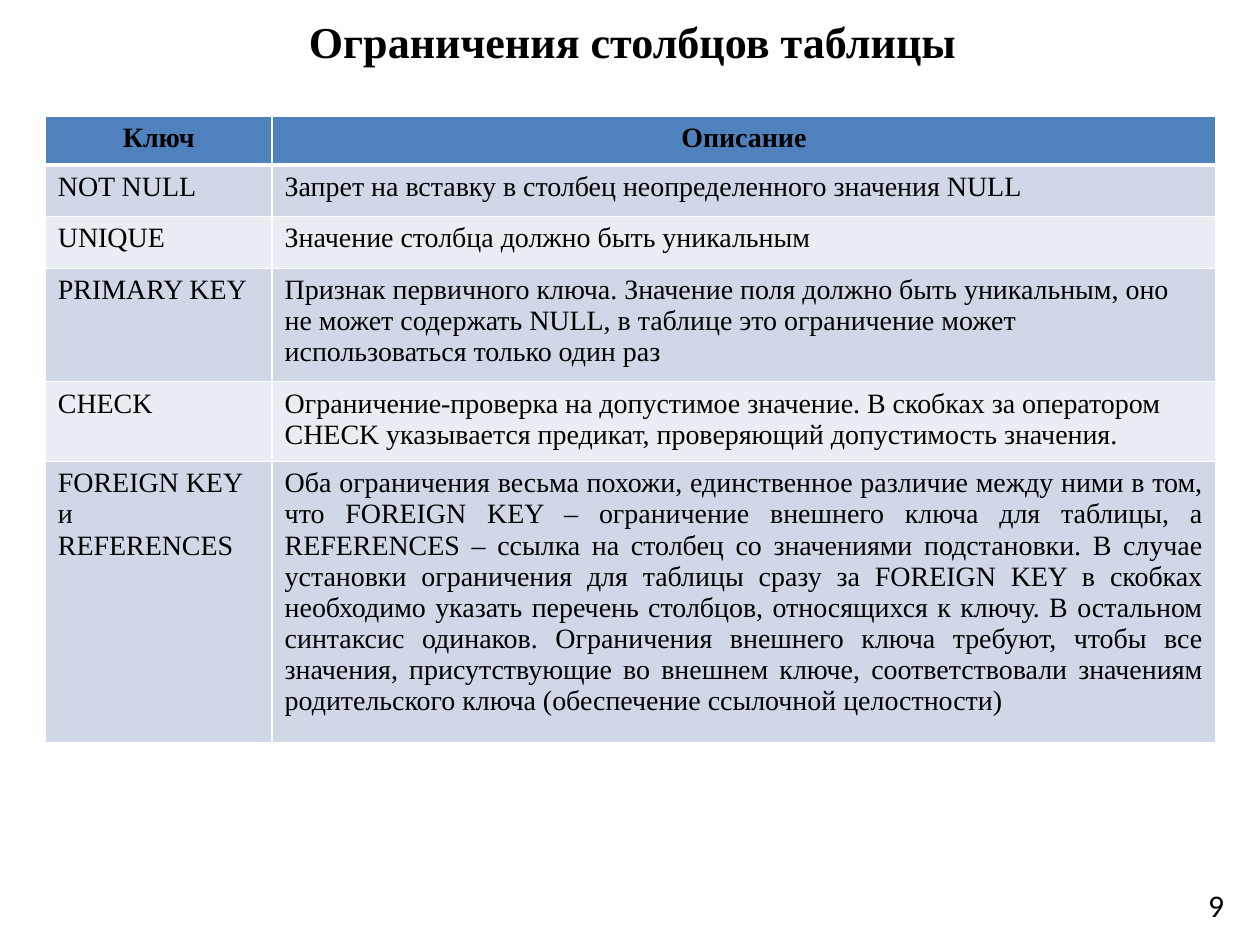
from lxml.etree import SubElement
from pptx import Presentation
from pptx.dml.color import RGBColor
from pptx.enum.text import MSO_ANCHOR, MSO_AUTO_SIZE, PP_ALIGN
from pptx.oxml.ns import qn
from pptx.util import Inches, Pt

BLACK = RGBColor(0x00, 0x00, 0x00)
WHITE = RGBColor(0xFF, 0xFF, 0xFF)
HEADER_BLUE = RGBColor(0x4F, 0x81, 0xBD)
DARK_BAND = RGBColor(0xD0, 0xD8, 0xE8)
LIGHT_BAND = RGBColor(0xE9, 0xED, 0xF4)

COLUMN_WIDTHS = [1.8, 7.49]
ROWS = [
    (0.39, ["Ключ"], "Описание"),
    (0.41, ["NOT NULL"], "Запрет на вставку в столбец неопределенного значения NULL"),
    (0.41, ["UNIQUE"], "Значение столбца должно быть уникальным"),
    (0.9, ["PRIMARY KEY"],
     "Признак первичного ключа. Значение поля должно быть уникальным, оно "
     "не может содержать NULL, в таблице это ограничение может "
     "использоваться только один раз"),
    (0.63, ["CHECK"],
     "Ограничение-проверка на допустимое значение. В скобках за оператором "
     "CHECK указывается предикат, проверяющий допустимость значения."),
    (2.23, ["FOREIGN KEY", "и", "REFERENCES"],
     "Оба ограничения весьма похожи, единственное различие между ними в том, "
     "что FOREIGN KEY – ограничение внешнего ключа для таблицы, а "
     "REFERENCES – ссылка на столбец со значениями подстановки. В случае "
     "установки ограничения для таблицы сразу за FOREIGN KEY в скобках "
     "необходимо указать перечень столбцов, относящихся к ключу. В остальном "
     "синтаксис одинаков. Ограничения внешнего ключа требуют, чтобы все "
     "значения, присутствующие во внешнем ключе, соответствовали значениям "
     "родительского ключа (обеспечение ссылочной целостности)"),
]


def add_text(paragraph, text, size, font="Times New Roman", bold=False):
    run = paragraph.add_run()
    run.text = text
    run.font.name = font
    run.font.size = Pt(size)
    run.font.bold = bold
    run.font.color.rgb = BLACK


def set_borders(cell, top, bottom):
    properties = cell._tc.get_or_add_tcPr()
    widths = {"a:lnL": 1, "a:lnR": 1, "a:lnT": top, "a:lnB": bottom}
    for position, (tag, width) in enumerate(widths.items()):
        line = SubElement(properties, qn(tag), w=str(Pt(width)))
        fill = SubElement(line, qn("a:solidFill"))
        SubElement(fill, qn("a:srgbClr"), val=str(WHITE))
        properties.insert(position, line)


presentation = Presentation()
presentation.slide_width = Inches(10)
presentation.slide_height = Inches(7.5)
slide = presentation.slides.add_slide(presentation.slide_layouts[5])

title = slide.shapes.title
title.left, title.top = Inches(0.22), Inches(0.05)
title.width, title.height = Inches(9.6), Inches(0.55)
title.text_frame.auto_size = MSO_AUTO_SIZE.NONE
title.text_frame.vertical_anchor = MSO_ANCHOR.MIDDLE
title_paragraph = title.text_frame.paragraphs[0]
title_paragraph.alignment = PP_ALIGN.CENTER
add_text(title_paragraph, "Ограничения столбцов таблицы", 25.2, bold=True)

page_number = slide.shapes.add_textbox(Inches(9.49), Inches(6.98), Inches(0.33), Inches(0.4))
page_number.text_frame.word_wrap = False
page_number.text_frame.auto_size = MSO_AUTO_SIZE.SHAPE_TO_FIT_TEXT
add_text(page_number.text_frame.paragraphs[0], "9", 18, font="Calibri")

table = slide.shapes.add_table(
    len(ROWS), len(COLUMN_WIDTHS), Inches(0.36), Inches(0.92), Inches(9.29), Inches(4.97)
).table
for column, width in zip(table.columns, COLUMN_WIDTHS):
    column.width = Inches(width)

for row_index, (height, key_lines, description) in enumerate(ROWS):
    table.rows[row_index].height = Inches(height)
    is_header = row_index == 0
    band = DARK_BAND if row_index % 2 else LIGHT_BAND
    for column_index, lines in enumerate([key_lines, [description]]):
        cell = table.cell(row_index, column_index)
        cell.fill.solid()
        cell.fill.fore_color.rgb = HEADER_BLUE if is_header else band
        set_borders(cell, 3 if row_index == 1 else 1, 3 if is_header else 1)
        for line_index, text in enumerate(lines):
            frame = cell.text_frame
            paragraph = frame.add_paragraph() if line_index else frame.paragraphs[0]
            paragraph.alignment = PP_ALIGN.CENTER if is_header else PP_ALIGN.LEFT
            add_text(paragraph, text, 16, bold=is_header)

table.cell(len(ROWS) - 1, 1).text_frame.paragraphs[0].alignment = PP_ALIGN.JUSTIFY

presentation.save("out.pptx")
